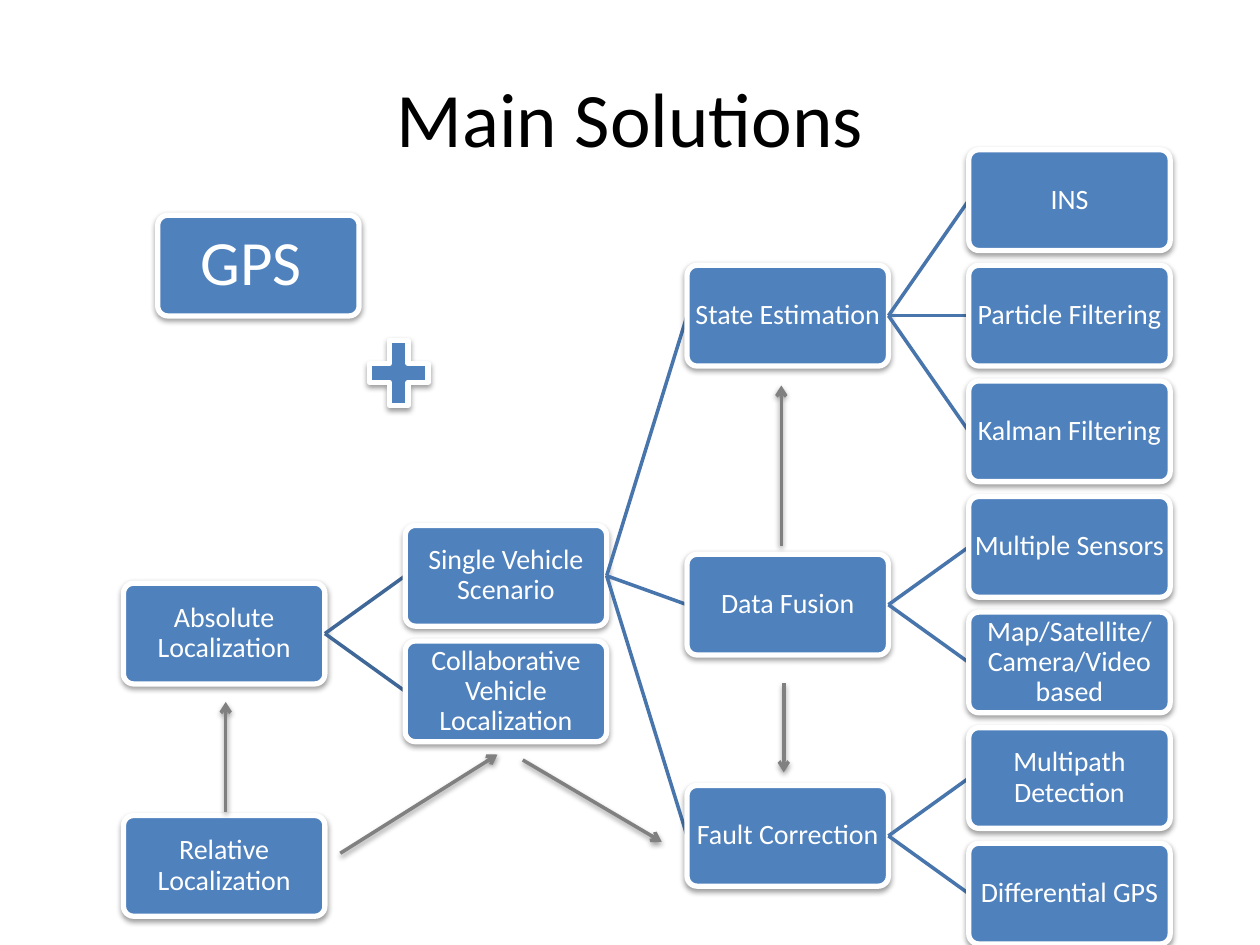
from dataclasses import dataclass
from typing import NamedTuple

from lxml.etree import SubElement
from pptx import Presentation
from pptx.dml.color import RGBColor
from pptx.enum.shapes import MSO_CONNECTOR, MSO_SHAPE
from pptx.enum.text import MSO_ANCHOR, PP_ALIGN
from pptx.oxml.ns import qn
from pptx.util import Cm, Pt


@dataclass(frozen=True)
class Theme:
    font: str = "Calibri"
    fill: str = "4F81BD"
    edge: str = "FFFFFF"
    light: str = "FFFFFF"
    dark: str = "000000"
    root: str = "3F6797"
    link: str = "4875AC"
    arrow: str = "808080"
    title: int = 44
    large: int = 36
    body: int = 16
    thick: int = 3
    thin: int = 2


class Node(NamedTuple):
    text: str
    row: float
    kids: tuple = ()


class Arrow(NamedTuple):
    x1: float
    y1: float
    x2: float
    y2: float


THEME = Theme()

# Grid of the tree, in centimetres
LEFT, TOP = 2.49, 3.02
COL, ROW = 5.68, 2.33
WIDE, HIGH = 4.06, 2.03

TREE = Node("Absolute Localization", 3.75, (
    Node("Single Vehicle Scenario", 3.25, (
        Node("State Estimation", 1, (
            Node("INS", 0),
            Node("Particle Filtering", 1),
            Node("Kalman Filtering", 2),
        )),
        Node("Data Fusion", 3.5, (
            Node("Multiple Sensors", 3),
            Node("Map/Satellite/Camera/Video based", 4),
        )),
        Node("Fault Correction", 5.5, (
            Node("Multipath Detection", 5),
            Node("Differential GPS", 6),
        )),
    )),
    Node("Collaborative Vehicle Localization", 4.25),
))
OTHER = Node("Relative Localization", 5.76)

ARROWS = (
    Arrow(4.55, 16.36, 4.55, 14.15),
    Arrow(6.86, 17.2, 10.03, 15.21),
    Arrow(15.75, 11.0, 15.75, 7.77),
    Arrow(15.8, 13.77, 15.8, 15.57),
    Arrow(10.54, 15.32, 13.34, 16.97),
)


def color(code: str) -> RGBColor:
    return RGBColor.from_string(code)


def add_shadow(item) -> None:
    """Give a soft shadow straight below; call once the line is set."""
    effects = SubElement(item.element.spPr, qn("a:effectLst"))
    outer = SubElement(effects, qn("a:outerShdw"), blurRad="40000",
                       dist="20000", dir="5400000", rotWithShape="0")
    black = SubElement(outer, qn("a:srgbClr"), val=THEME.dark)
    SubElement(black, qn("a:alpha"), val="38000")


def write(item, text: str, size: int, code: str):
    frame = item.text_frame
    frame.text = text
    frame.word_wrap = True
    frame.vertical_anchor = MSO_ANCHOR.MIDDLE
    para = frame.paragraphs[0]
    para.alignment = PP_ALIGN.CENTER
    font = para.runs[0].font
    font.name, font.size = THEME.font, Pt(size)
    font.color.rgb = color(code)
    return frame


def add_block(slide, kind, x: float, y: float, wide: float, high: float):
    block = slide.shapes.add_shape(kind, Cm(x), Cm(y), Cm(wide), Cm(high))
    block.fill.solid()
    block.fill.fore_color.rgb = color(THEME.fill)
    block.line.color.rgb = color(THEME.edge)
    block.line.width = Pt(THEME.thick)
    add_shadow(block)
    return block


def add_box(slide, text: str, x: float, y: float,
            size: int = THEME.body) -> None:
    box = add_block(slide, MSO_SHAPE.ROUNDED_RECTANGLE, x, y, WIDE, HIGH)
    box.adjustments[0] = 0.1
    frame = write(box, text, size, THEME.light)
    frame.margin_left = frame.margin_right = Cm(0.03)
    frame.margin_top = frame.margin_bottom = Cm(0.03)
    frame.paragraphs[0].line_spacing = 0.9


def add_line(slide, x1: float, y1: float, x2: float, y2: float, code: str):
    line = slide.shapes.add_connector(
        MSO_CONNECTOR.STRAIGHT, Cm(x1), Cm(y1), Cm(x2), Cm(y2))
    line.line.color.rgb = color(code)
    line.line.width = Pt(THEME.thin)
    return line


def add_link(slide, *ends: float, code: str) -> None:
    line = add_line(slide, *ends, code)
    SubElement(line.element.spPr, qn("a:effectLst"))


def add_arrow(slide, arrow: Arrow) -> None:
    line = add_line(slide, *arrow, THEME.arrow)
    SubElement(line.element.spPr.find(qn("a:ln")), qn("a:tailEnd"),
               type="arrow")
    add_shadow(line)


def add_tree(slide, node: Node, col: int = 0) -> None:
    """Draw a node, then each link followed by the branch it leads to."""
    x, y = LEFT + col * COL, TOP + node.row * ROW
    add_box(slide, node.text, x, y)
    code = THEME.link if col else THEME.root
    for kid in node.kids:
        end = TOP + kid.row * ROW + HIGH / 2
        add_link(slide, x + WIDE, y + HIGH / 2, x + COL, end, code=code)
        add_tree(slide, kid, col + 1)


def main() -> None:
    deck = Presentation()
    deck.slide_width, deck.slide_height = Cm(25.4), Cm(19.05)
    slide = deck.slides.add_slide(deck.slide_layouts[6])

    add_tree(slide, TREE)
    add_tree(slide, OTHER)
    title = slide.shapes.add_textbox(Cm(1.27), Cm(0.76), Cm(22.86), Cm(3.18))
    write(title, "Main Solutions", THEME.title, THEME.dark)
    add_box(slide, "GPS ", 3.18, 4.34, THEME.large)
    add_block(slide, MSO_SHAPE.MATH_PLUS, 7.24, 6.63, 1.6, 1.78)
    for arrow in ARROWS:
        add_arrow(slide, arrow)

    deck.save("out.pptx")


if __name__ == "__main__":
    main()
